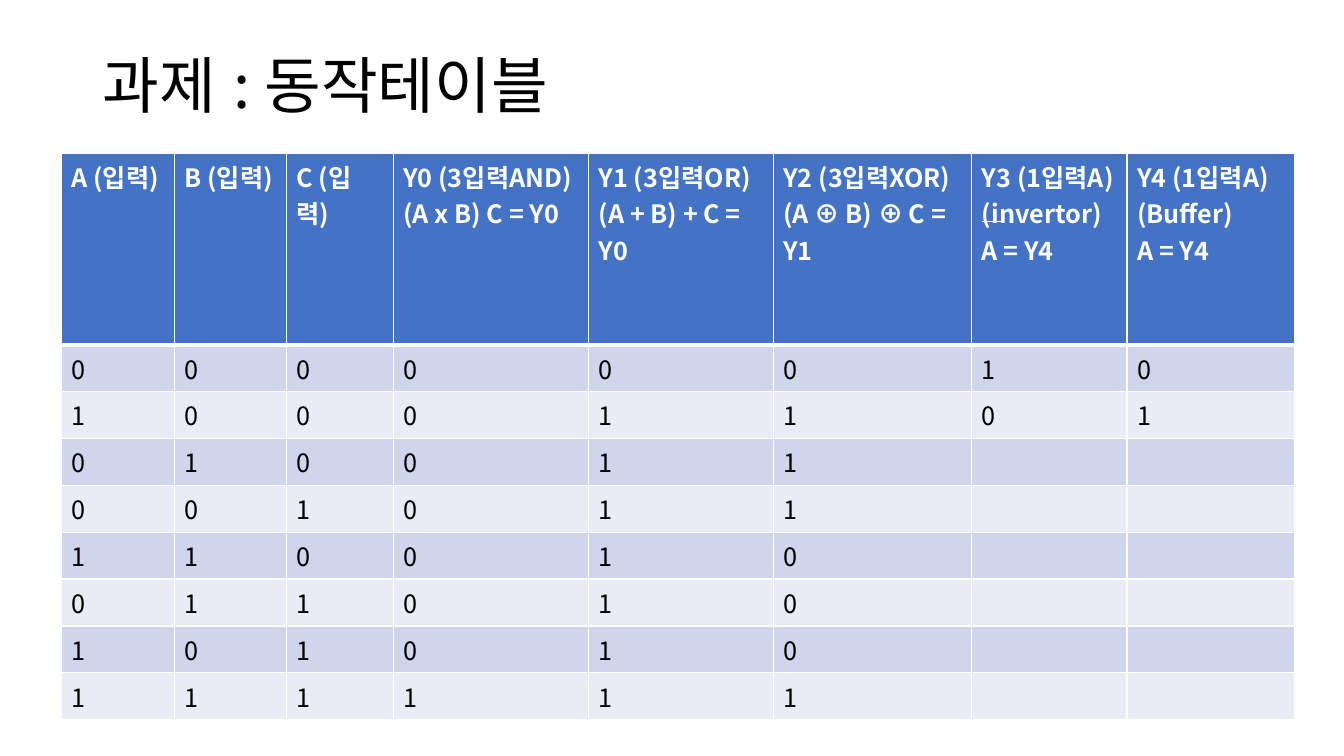
from lxml import etree
from pptx import Presentation
from pptx.dml.color import RGBColor
from pptx.enum.lang import MSO_LANGUAGE_ID as Language
from pptx.enum.shapes import MSO_CONNECTOR as Connector
from pptx.enum.text import MSO_ANCHOR as Anchor, PP_ALIGN as Align
from pptx.oxml.ns import qn
from pptx.util import Inches, Pt

FONT = "Noto Sans CJK KR"
COLORS = {"header": "4472C4", "odd": "CFD5EA", "even": "E9EBF5",
          "white": "FFFFFF", "black": "000000"}
HEADERS = [
    "A (입력)", "B (입력)", "C (입력)",
    "Y0 (3입력AND)\n(A x B) C = Y0",
    "Y1 (3입력OR)\n(A + B) + C = Y0",
    "Y2 (3입력XOR)\n(A ⊕ B) ⊕ C = Y1",
    "Y3 (1입력A) (invertor)\nA = Y4",
    "Y4 (1입력A)\n(Buffer)\nA = Y4",
]
TRUTH_ROWS = ["00000010", "10001101", "010011", "001011",
              "110010", "011010", "101010", "111111"]
COLUMN_WIDTHS = [1.12, 1.11, 1.06, 1.94, 1.83, 1.97, 1.54, 1.66]
HEADER_HEIGHT, ROW_HEIGHT = 1.9, 0.465


def style_text(frame, size, color, bold=False):
    for para in frame.paragraphs:
        for span in para.runs:
            span.font.size = Pt(size)
            span.font.bold = bold
            span.font.name = FONT
            span.font.language_id = Language.KOREAN
            span.font.color.rgb = RGBColor.from_string(COLORS[color])
            east_asian = etree.Element(qn("a:ea"), typeface=FONT)
            span.font._element.find(qn("a:latin")).addnext(east_asian)


def add_border(cell, side, points):
    border = etree.SubElement(cell._tc.get_or_add_tcPr(), qn(f"a:ln{side}"), w=str(Pt(points)))
    fill = etree.SubElement(border, qn("a:solidFill"))
    etree.SubElement(fill, qn("a:srgbClr"), val=COLORS["white"])


deck = Presentation()
deck.slide_width, deck.slide_height = Inches(13.33), Inches(7.5)
page = deck.slides.add_slide(deck.slide_layouts[5])

title = page.shapes.title
title.left, title.top = Inches(0.92), Inches(0.4)
title.width, title.height = Inches(11.5), Inches(0.95)
title.text_frame.text = "과제 : 동작테이블"
title.text_frame.vertical_anchor = Anchor.MIDDLE
title.text_frame.paragraphs[0].alignment = Align.LEFT
title.text_frame.paragraphs[0].line_spacing = 0.9
style_text(title.text_frame, 44, "black")

table_height = HEADER_HEIGHT + ROW_HEIGHT * len(TRUTH_ROWS)
table = page.shapes.add_table(
    len(TRUTH_ROWS) + 1, len(HEADERS), Inches(0.61), Inches(1.52),
    Inches(sum(COLUMN_WIDTHS)), Inches(table_height)).table
for column, width in zip(table.columns, COLUMN_WIDTHS):
    column.width = Inches(width)

for row_index, values in enumerate([HEADERS, *TRUTH_ROWS]):
    is_header = row_index == 0
    table.rows[row_index].height = Inches(HEADER_HEIGHT if is_header else ROW_HEIGHT)
    fill_name = "header" if is_header else ("odd" if row_index % 2 else "even")
    for column_index in range(len(HEADERS)):
        cell = table.cell(row_index, column_index)
        add_border(cell, "L", 1)
        add_border(cell, "R", 1)
        add_border(cell, "T", 3 if row_index == 1 else 1)
        add_border(cell, "B", 3 if is_header else 1)
        cell.fill.solid()
        cell.fill.fore_color.rgb = RGBColor.from_string(COLORS[fill_name])
        if column_index < len(values):
            cell.text_frame.text = values[column_index]
            style_text(cell.text_frame, 18, "white" if is_header else "black", is_header)

inversion_bar = page.shapes.add_connector(
    Connector.STRAIGHT, Inches(9.74), Inches(2.2), Inches(9.96), Inches(2.2))
inversion_bar.line.color.rgb = RGBColor.from_string(COLORS["white"])
inversion_bar.line.width = Pt(0.5)
etree.SubElement(inversion_bar._element.spPr, qn("a:effectLst"))

deck.save("out.pptx")
